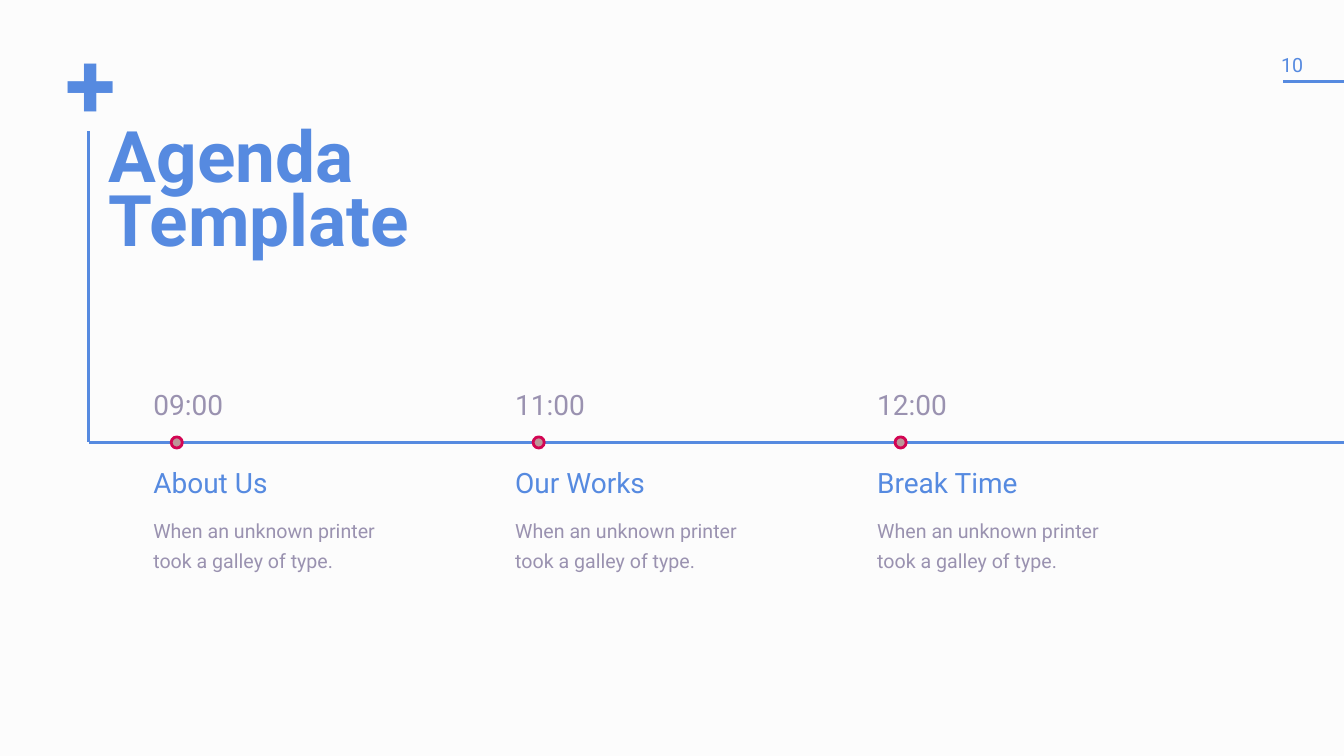
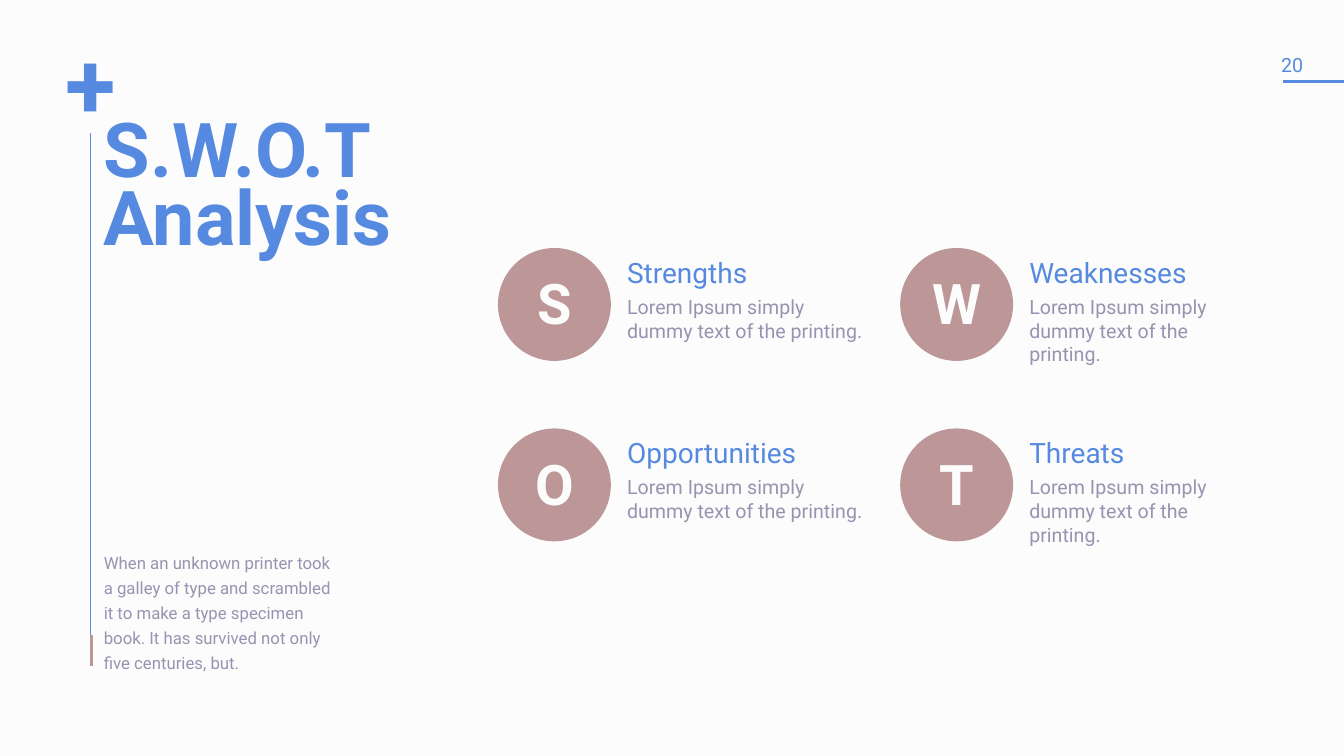
from lxml import etree
from pptx import Presentation
from pptx.dml.color import RGBColor
from pptx.enum.shapes import MSO_CONNECTOR, MSO_SHAPE
from pptx.enum.text import MSO_ANCHOR, MSO_AUTO_SIZE, PP_ALIGN
from pptx.oxml.ns import qn
from pptx.util import Inches, Pt

FONT = "Roboto"
COLORS = {
    "paper": "FCFCFC",
    "blue": "568AE0",
    "gray": "9A92B0",
    "rose": "BD9698",
    "crimson": "D30553",
}
WIDTH, HEIGHT = Inches(13.333), Inches(7.5)
PADDING = Inches(0.05)
TIGHT = Pt(17)

# Positions and sizes are percentages of the slide's width and height.
AGENDA = [("09:00", "About Us"), ("11:00", "Our Works"), ("12:00", "Break Time")]
AGENDA_NOTE = "When an unknown printer took a galley of type."
AGENDA_LEFT, AGENDA_STEP = 11.03, 26.93
SPINE, TIMELINE = 6.6, 58.53

SWOT = ["Strengths", "Weaknesses", "Opportunities", "Threats"]
SWOT_NOTE = "Lorem Ipsum simply dummy text of the printing."
SWOT_LEFT, SWOT_STEP = 41.25, 29.93
SWOT_TOP, SWOT_DROP = 40.27, 23.87
SWOT_WIDTHS = [18.83, 18]
SWOT_INTRO = (
    "When an unknown printer took a galley of type and scrambled it to make "
    "a type specimen book. It has survived not only five centuries, but."
)


def across(share):
    return round(WIDTH * share / 100)


def down(share):
    return round(HEIGHT * share / 100)


def rgb(name):
    return RGBColor.from_string(COLORS[name])


def set_padding(frame, padding):
    frame.margin_left = frame.margin_right = padding
    frame.margin_top = frame.margin_bottom = padding


def write(frame, text, size, color, spacing=1.0, bold=False, before=0,
          align=PP_ALIGN.LEFT):
    """Add a paragraph, filling the empty first one if there is one."""
    paragraph = frame.paragraphs[0]
    if paragraph.runs:
        paragraph = frame.add_paragraph()
    paragraph.alignment = align
    paragraph.line_spacing = spacing
    paragraph.space_before = Pt(before)
    run = paragraph.add_run()
    run.text = text
    run.font.name = FONT
    run.font.size = Pt(size)
    run.font.bold = bold
    run.font.color.rgb = rgb(color)


def add_text(slide, left, top, width, height, wrap=True, padding=PADDING):
    box = slide.shapes.add_textbox(
        across(left), down(top), across(width), down(height))
    frame = box.text_frame
    frame.word_wrap = wrap
    frame.auto_size = MSO_AUTO_SIZE.SHAPE_TO_FIT_TEXT
    set_padding(frame, padding)
    return frame


def add_line(slide, x1, y1, x2, y2, color="blue", weight=2):
    line = slide.shapes.add_connector(
        MSO_CONNECTOR.STRAIGHT, across(x1), down(y1), across(x2), down(y2))
    line.line.color.rgb = rgb(color)
    line.line.width = Pt(weight)
    etree.SubElement(line._element.spPr, qn("a:effectLst"))


def add_circle(slide, center_x, center_y, diameter, outline=None):
    """Draw a rose circle; its diameter is a share of the slide's width."""
    size = across(diameter)
    circle = slide.shapes.add_shape(
        MSO_SHAPE.OVAL, across(center_x) - size // 2,
        down(center_y) - size // 2, size, size)
    circle.shadow.inherit = False
    circle.fill.solid()
    circle.fill.fore_color.rgb = rgb("rose")
    if outline:
        circle.line.color.rgb = rgb(outline)
        circle.line.width = Pt(2)
    else:
        circle.line.fill.background()
    return circle


def add_title(slide, lines, size, left, top, width, height):
    title = slide.shapes.title
    title.left, title.top = across(left), down(top)
    title.width, title.height = across(width), down(height)
    frame = title.text_frame
    frame.auto_size = MSO_AUTO_SIZE.NONE
    frame.vertical_anchor = MSO_ANCHOR.TOP
    frame.word_wrap = True
    set_padding(frame, PADDING)
    for line in lines:
        write(frame, line, size, "blue", spacing=0.75, bold=True)


def new_slide(deck, number):
    """Start a slide with the plus sign and the underlined page number."""
    slide = deck.slides.add_slide(deck.slide_layouts[5])
    plus = add_text(slide, 4.5, 5.6, 4.58, 15.6, wrap=False)
    write(plus, "+", 66, "blue", spacing=0.8, bold=True)
    add_line(slide, 95.5, 10.8, 100, 10.8)
    page = add_text(slide, 94.8, 6.13, 2.78, 4.8, wrap=False,
                    padding=Inches(0.07))
    page.vertical_anchor = MSO_ANCHOR.MIDDLE
    write(page, number, 14, "blue")
    return slide


def add_agenda_stop(slide, left, time, topic):
    details = add_text(slide, left, 62.27, 19.35, 13.87)
    write(details, topic, 20, "blue", spacing=TIGHT)
    write(details, AGENDA_NOTE, 14, "gray", spacing=1.25, before=10)
    clock = add_text(slide, left, 51.87, 15.15, 4.8)
    write(clock, time, 20, "gray", spacing=TIGHT)
    add_circle(slide, left + 2.12, TIMELINE, 0.83, outline="crimson")


def add_swot_item(slide, center_x, center_y, width, topic):
    badge = add_circle(slide, center_x, center_y, 8.4).text_frame
    set_padding(badge, 0)
    badge.margin_top = Inches(0.08)
    badge.vertical_anchor = MSO_ANCHOR.MIDDLE
    write(badge, topic[0], 40, "paper", spacing=0.8, bold=True,
          align=PP_ALIGN.CENTER)
    details = add_text(slide, center_x + 5.03, center_y - 5.87, width, 11.47)
    write(details, topic, 20, "blue", spacing=TIGHT)
    write(details, SWOT_NOTE, 14, "gray", spacing=TIGHT, before=4)


def build_agenda(deck):
    slide = new_slide(deck, "10")
    add_title(slide, ["Agenda", "Template"], 50.8, 7.73, 16.67, 37.8, 20.67)
    add_line(slide, SPINE, 17.33, SPINE, TIMELINE)
    add_line(slide, 100, TIMELINE, SPINE, TIMELINE)
    for column, (time, topic) in enumerate(AGENDA):
        add_agenda_stop(slide, AGENDA_LEFT + column * AGENDA_STEP, time, topic)


def build_swot(deck):
    slide = new_slide(deck, "20")
    add_title(slide, ["S.W.O.T", "Analysis"], 54, 7.35, 15.6, 37.8, 35.33)
    add_line(slide, 6.7, 17.6, 6.7, 88.13, weight=0.75)
    add_line(slide, 6.81, 84, 6.81, 88.13, color="rose")
    intro = add_text(slide, 7.35, 71.73, 18, 19.73)
    write(intro, SWOT_INTRO, 12, "gray", spacing=1.25)
    for index, topic in enumerate(SWOT):
        row, column = divmod(index, 2)
        add_swot_item(slide, SWOT_LEFT + column * SWOT_STEP,
                      SWOT_TOP + row * SWOT_DROP, SWOT_WIDTHS[column], topic)


def main():
    deck = Presentation()
    deck.slide_width, deck.slide_height = WIDTH, HEIGHT
    backdrop = deck.slide_master.background.fill
    backdrop.solid()
    backdrop.fore_color.rgb = rgb("paper")
    build_agenda(deck)
    build_swot(deck)
    deck.save("out.pptx")


if __name__ == "__main__":
    main()
